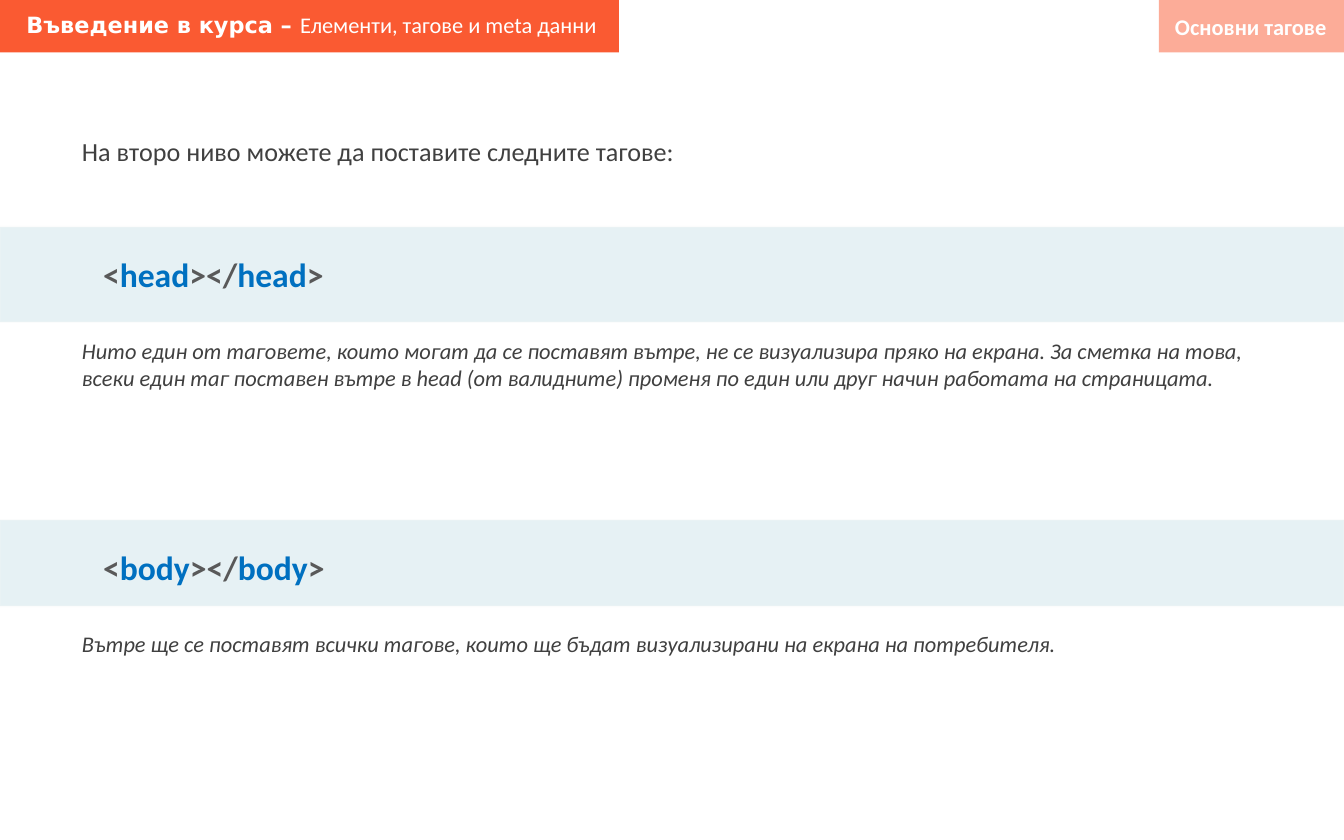
from dataclasses import dataclass

from lxml import etree
from pptx import Presentation
from pptx.dml.color import RGBColor
from pptx.enum import shapes, text
from pptx.oxml import ns
from pptx.util import Cm, Pt


@dataclass(frozen=True)
class Theme:
    orange: str = "FA5A32"
    teal: str = "127994"
    edge: str = "F8F8F8"
    white: str = "FFFFFF"
    body: str = "404040"
    bracket: str = "595959"
    tag: str = "0070C0"
    font: str = "Calibri"
    title_font: str = "DejaVu Sans"
    small: int = 12
    lead: int = 14
    code: int = 18


T = Theme()


def add_rect(x, y, w, h, color, alpha=100, line=None):
    sp = s.shapes.add_shape(shapes.MSO_SHAPE.RECTANGLE, Cm(x), Cm(y), Cm(w), Cm(h))
    sp.shadow.inherit = False
    sp.fill.solid()
    sp.fill.fore_color.rgb = RGBColor.from_string(color)
    if line:
        sp.line.color.rgb = RGBColor.from_string(line)
        sp.line.width = Pt(1)
    else:
        sp.line.fill.background()
    # The first colour is the fill, the second the outline
    for clr, pct in zip(sp._element.spPr.iter(ns.qn("a:srgbClr")), (alpha, 16)):
        if pct < 100:
            etree.SubElement(clr, ns.qn("a:alpha"), val=str(pct * 1000))


def add_text(runs, x, y, w, h, size=T.small, italic=False, align=None, wrap=True):
    """Each run is (text, colour, bold, font)."""
    tf = s.shapes.add_textbox(Cm(x), Cm(y), Cm(w), Cm(h)).text_frame
    tf.word_wrap = wrap
    tf.auto_size = text.MSO_AUTO_SIZE.SHAPE_TO_FIT_TEXT
    p = tf.paragraphs[0]
    p.alignment = align
    for words, color, bold, font in runs:
        r = p.add_run()
        r.text = words
        r.font.name = font
        r.font.size = Pt(size)
        r.font.bold = bold
        r.font.italic = italic
        r.font.color.rgb = RGBColor.from_string(color)


prs = Presentation()
prs.slide_width, prs.slide_height = Cm(25.4), Cm(15.88)
s = prs.slides.add_slide(prs.slide_layouts[6])

# Lead sentence
left, width = 1.3, 23
add_text([("На второ ниво можете да поставите следните тагове:", T.body, False, T.font)],
         left, 2.44, width, 0.86, size=T.lead)

# Tag bands, each with its explanation below
sections = [
    ("head", 4.29, 1.8, 6.25, 1.27,
     "Нито един от таговете, които могат да се поставят вътре, не се визуализира пряко на екрана. "
     "За сметка на това, всеки един таг поставен вътре в head (от валидните) променя по един или "
     "друг начин работата на страницата."),
    ("body", 9.83, 1.63, 11.79, 0.76,
     "Вътре ще се поставят всички тагове, които ще бъдат визуализирани на екрана на потребителя."),
]
for tag, top, height, note_top, note_height, note in sections:
    add_rect(0, top, 25.4, height, T.teal, alpha=10, line=T.edge)
    parts = [("<", T.bracket), (tag, T.tag), ("></", T.bracket), (tag, T.tag), (">", T.bracket)]
    add_text([(words, color, True, T.font) for words, color in parts],
             1.7, top + 0.38, 4.72, 1.02, size=T.code, wrap=False)
    add_text([(note, T.body, False, T.font)], left, note_top, width, note_height, italic=True)

# Topic label, top right
add_rect(21.9, 0, 3.5, 0.99, T.orange, alpha=50)
add_text([("Основни тагове", T.white, True, T.font)],
         21.31, 0.13, 4.01, 0.76, align=text.PP_ALIGN.RIGHT)

# Course title, top left
add_rect(0, 0, 11.7, 0.99, T.orange)
add_text([("Въведение в курса – ", T.white, True, T.title_font),
          ("Елементи, тагове и meta данни", T.white, False, T.font)],
         0.25, 0.08, 11.46, 0.76)

prs.save("out.pptx")
